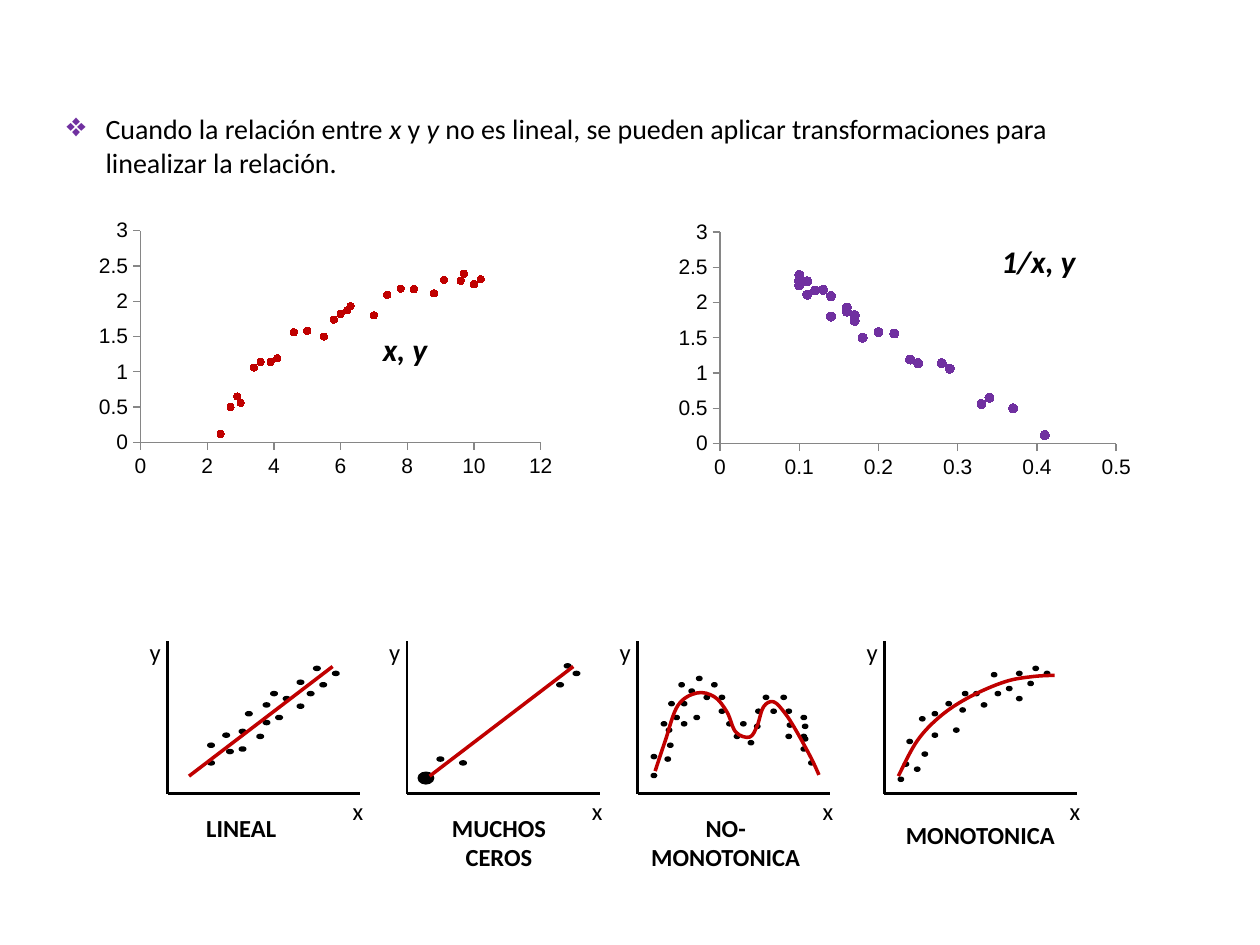
from lxml import etree
from pptx import Presentation
from pptx.chart import data as cd
from pptx.dml import color
from pptx.enum import chart as ec, shapes, text
from pptx.oxml import ns
from pptx.util import Inches, Pt

COLORS = {"ink": "000000", "red": "C00000", "purple": "7030A0", "axis": "868686"}

X_VALUES = [2.4, 2.7, 2.9, 3, 3.4, 3.6, 3.9, 4.1, 4.6, 5, 5.5, 5.8, 6,
            6.2, 6.3, 7, 7.4, 7.8, 8.2, 8.8, 9.1, 9.6, 9.7, 10, 10.2]
INVERSE_X = [0.41, 0.37, 0.34, 0.33, 0.29, 0.28, 0.25, 0.24, 0.22, 0.2, 0.18, 0.17, 0.17,
             0.16, 0.16, 0.14, 0.14, 0.13, 0.12, 0.11, 0.11, 0.1, 0.1, 0.1, 0.1]
Y_VALUES = [0.12, 0.5, 0.65, 0.56, 1.06, 1.14, 1.14, 1.19, 1.56, 1.58, 1.5, 1.74, 1.82,
            1.87, 1.93, 1.8, 2.09, 2.18, 2.17, 2.11, 2.3, 2.29, 2.39, 2.24, 2.31]

# Dots and fit knots are in inches from the top of each sketch's y axis.
LINEAR = {
    "dots": [(1.03, .31), (.86, .59), (.57, .84), (.76, .63), (1.03, .5), (.62, .56),
             (.57, .7), (.44, .73), (.76, .49), (.71, .74), (.47, .86), (.32, .81),
             (.32, .95), (.92, .44), (1.11, .4), (.82, .4), (1.31, .24), (1.16, .2),
             (1.21, .33)],
    "fit": [(.17, 1.07), (1.31, .2)],
    "dot_width": .05,
}
MANY_ZEROS = {
    "dots": [(.42, .95), (.24, .92), (1.32, .24), (1.19, .33), (1.25, .18)],
    "fit": [(.18, 1.07), (1.32, .2)],
    "dot_width": .05,
    "cluster": (.09, 1.04, .12, .09),
}
NON_MONOTONIC = {
    "dots": [(.22, .92), (.23, .69), (.24, .81), (.45, .59), (.71, .64), (1.18, .74),
             (1.3, .84), (.25, .48), (1.3, .59), (.35, .48), (.29, .59), (.11, 1.05),
             (.19, .64), (.94, .54), (.11, .9), (1.18, .54), (.82, .64), (.35, .64),
             (1.31, .66), (1.36, .95), (1.3, .74), (1.06, .54), (1, .43), (1.19, .65),
             (1.14, .43), (.77, .74), (1.31, .76), (.41, .38), (.53, .43), (.47, .28),
             (.65, .43), (.65, .54), (.88, .79), (.59, .33), (.93, .66), (.33, .33)],
    "fit": [(.14, 1.03), (.22, .79), (.32, .51), (.47, .41), (.61, .44), (.71, .56),
            (.78, .72), (.89, .76), (.95, .67), (1, .52), (1.08, .48), (1.17, .57),
            (1.26, .71), (1.38, .93), (1.44, 1.06)],
    "dot_width": .04,
}
MONOTONIC = {
    "dots": [(.15, .96), (.6, .53), (.18, .78), (.38, .56), (.71, .4), (1.05, .24),
             (1.05, .44), (.24, 1), (1.27, .24), (.38, .73), (.3, .88), (.11, 1.08),
             (.28, .6), (.62, .4), (.49, .48), (.97, .36), (.77, .49), (.55, .69),
             (1.18, .2), (.85, .25), (1.14, .32), (.88, .4)],
    "fit": [(.11, 1.07), (.26, .79), (.45, .59), (.68, .44), (.96, .32), (1.18, .28),
            (1.35, .27)],
    "dot_width": .04,
}


def rgb(name):
    return color.RGBColor.from_string(COLORS[name])


def inches(box):
    return [Inches(length) for length in box]


def add_text(parts, box, runs, size, bold=False, align=None):
    """Add one paragraph to a shape collection; runs are (wording, italic) pairs."""
    frame = parts.add_textbox(*inches(box)).text_frame
    frame.word_wrap = True
    frame.auto_size = text.MSO_AUTO_SIZE.SHAPE_TO_FIT_TEXT
    paragraph = frame.paragraphs[0]
    paragraph.alignment = align
    for wording, italic in runs:
        run = paragraph.add_run()
        run.text = wording
        font = run.font
        font.name, font.size, font.bold, font.italic = "Calibri", Pt(size), bold, italic
        font.color.rgb = rgb("ink")
    return frame


def add_statement(slide, box):
    runs = [("Cuando la relación entre ", False), ("x", True), (" y ", False), ("y", True),
            (" no es lineal, se pueden aplicar transformaciones para linealizar la relación.",
             False)]
    frame = add_text(slide.shapes, box, runs, 16)
    frame.margin_right = Inches(0.2)
    props = frame.paragraphs[0]._p.get_or_add_pPr()
    props.set("marL", str(Inches(0.31)))
    props.set("indent", str(-Inches(0.31)))
    bullet_color = etree.SubElement(props, ns.qn("a:buClr"))
    etree.SubElement(bullet_color, ns.qn("a:srgbClr")).set("val", COLORS["purple"])
    etree.SubElement(props, ns.qn("a:buSzPct")).set("val", "120000")
    etree.SubElement(props, ns.qn("a:buChar")).set("char", "❖")


def add_scatter(slide, box, x_values, x_max, x_step, hue, marker_size, label, label_box):
    """Add a scatter chart; label_box is relative to the chart's corner."""
    points = cd.XyChartData()
    series_data = points.add_series("Series 1")
    for x, y in zip(x_values, Y_VALUES):
        series_data.add_data_point(x, y)
    chart = slide.shapes.add_chart(ec.XL_CHART_TYPE.XY_SCATTER, *inches(box), points).chart
    chart.has_legend = chart.has_title = False
    chart.font.name, chart.font.size = "Calibri", Pt(10)
    chart.font.color.rgb = rgb("ink")
    chart.plots[0].vary_by_categories = False

    chart.category_axis.minimum_scale = 0
    chart.category_axis.maximum_scale = x_max
    chart.category_axis.major_unit = x_step
    for axis in (chart.category_axis, chart.value_axis):
        axis.has_major_gridlines = False
        axis.major_tick_mark = ec.XL_TICK_MARK.OUTSIDE
        axis.format.line.color.rgb = rgb("axis")
        axis.format.line.width = Pt(0.75)
        axis.tick_labels.number_format = "General"
        axis.tick_labels.number_format_is_linked = False
        axis.tick_labels.font.name = "Arial"
        axis.tick_labels.font.size = Pt(12)
        axis.tick_labels.font.color.rgb = rgb("ink")

    series = chart.plots[0].series[0]
    series.smooth = False
    series.format.line.fill.background()
    series.marker.style = ec.XL_MARKER_STYLE.CIRCLE
    series.marker.size = marker_size
    series.marker.format.fill.solid()
    series.marker.format.fill.fore_color.rgb = rgb(hue)
    series.marker.format.line.color.rgb = rgb(hue)

    dx, dy, *size = label_box
    add_text(slide.shapes, (box[0] + dx, box[1] + dy, *size), [(label, True)], 18, bold=True)


def add_line(parts, start, end, hue, weight):
    line = parts.add_connector(shapes.MSO_CONNECTOR.STRAIGHT, *inches(start + end))
    line.line.color.rgb = rgb(hue)
    line.line.width = Pt(weight)
    etree.SubElement(line._element.spPr, ns.qn("a:effectLst"))


def add_dot(parts, box):
    dot = parts.add_shape(shapes.MSO_SHAPE.OVAL, *inches(box))
    dot.shadow.inherit = False
    dot.fill.solid()
    dot.fill.fore_color.rgb = rgb("ink")
    dot.line.color.rgb = rgb("ink")
    dot.line.width = Pt(1)


def add_curve(parts, knots):
    """Join the knots with one Bézier segment each, tangent to their neighbours."""
    points = [tuple(inches(knot)) for knot in knots]
    builder = parts.build_freeform(*points[0])
    builder.add_line_segments(points[1:], close=False)
    curve = builder.convert_to_shape()
    curve.shadow.inherit = False
    curve.fill.background()
    curve.line.color.rgb = rgb("red")
    curve.line.width = Pt(2)

    local = [(x - curve.left, y - curve.top) for x, y in points]
    padded = [local[0], *local, local[-1]]
    segments = list(curve._element.iter(ns.qn("a:lnTo")))
    for segment, a, b, c, d in zip(segments, padded, padded[1:], padded[2:], padded[3:]):
        bezier = etree.Element(ns.qn("a:cubicBezTo"))
        leaving = [q + (r - p) / 6 for p, q, r in zip(a, b, c)]
        arriving = [r - (s - q) / 6 for q, r, s in zip(b, c, d)]
        for x, y in (leaving, arriving, c):
            etree.SubElement(bezier, ns.qn("a:pt"), x=str(round(x)), y=str(round(y)))
        segment.getparent().replace(segment, bezier)


def add_sketch(slide, box, pattern, caption, caption_box):
    """Draw a small plot whose axes fill box; caption_box is relative to its corner."""
    left, top, width, height = box
    parts = slide.shapes.add_group_shape().shapes
    corner = (left, top + height)
    add_line(parts, (left, top), corner, "ink", 1.5)
    add_line(parts, corner, (left + width, top + height), "ink", 1.5)
    center = text.PP_ALIGN.CENTER
    for name, dx, dy in (("y", -0.24, -0.08), ("x", width - 0.16, height - 0.03)):
        add_text(parts, (left + dx, top + dy, 0.24, 0.34), [(name, False)], 14, align=center)
    for x, y in pattern["dots"]:
        add_dot(parts, (left + x, top + y, pattern["dot_width"], 0.03))
    if "cluster" in pattern:
        x, y, *size = pattern["cluster"]
        add_dot(parts, (left + x, top + y, *size))
    fit = [(left + x, top + y) for x, y in pattern["fit"]]
    if len(fit) == 2:
        add_line(parts, *fit, "red", 2)
    else:
        add_curve(parts, fit)
    dx, dy, *size = caption_box
    add_text(slide.shapes, (left + dx, top + dy, *size), [(caption, False)], 14, True, center)


def main():
    deck = Presentation()
    deck.slide_width, deck.slide_height = Inches(10), Inches(7.5)
    slide = deck.slides.add_slide(deck.slide_layouts[6])
    add_scatter(slide, (0.71, 1.7, 3.75, 2.13), X_VALUES, 12, 2, "red", 4,
                "x, y", (2.23, 0.87, 0.63, 0.4))
    add_scatter(slide, (5.31, 1.71, 3.74, 2.13), INVERSE_X, 0.5, 0.1, "purple", 5,
                "1/x, y", (2.54, 0.16, 0.94, 0.4))
    add_statement(slide, (0.43, 0.84, 8.84, 0.64))
    for left, pattern, caption, caption_box in (
            (1.33, LINEAR, "LINEAL", (0, 1.31, 1.17, 0.34)),
            (3.23, MANY_ZEROS, "MUCHOS CEROS", (0.11, 1.31, 1.24, 0.57)),
            (5.06, NON_MONOTONIC, "NO-MONOTONICA", (-0.08, 1.31, 1.56, 0.57)),
            (7.02, MONOTONIC, "MONOTONICA", (-0.05, 1.37, 1.62, 0.34))):
        add_sketch(slide, (left, 5.09, 1.53, 1.21), pattern, caption, caption_box)
    deck.save("out.pptx")


if __name__ == "__main__":
    main()
